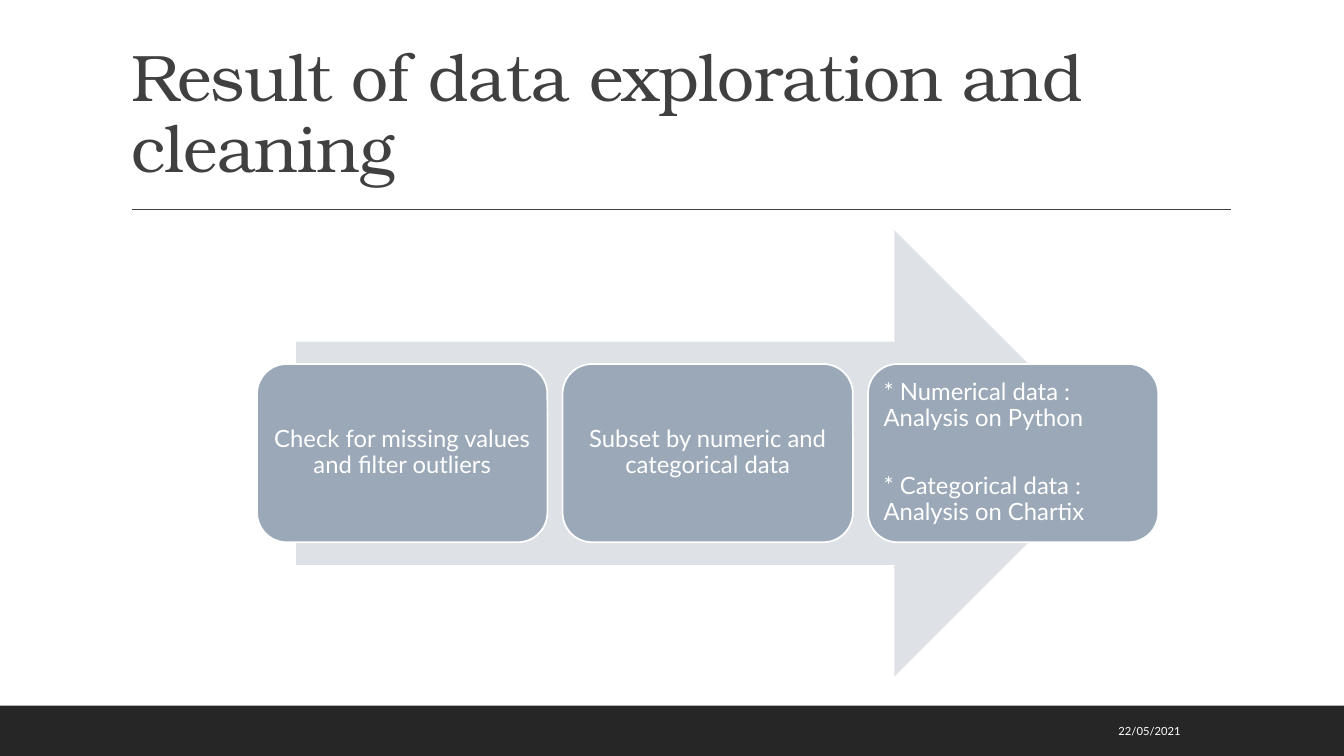
import pptx
import pptx.util
import pptx.dml.color
import pptx.enum.shapes
import pptx.enum.text
import lxml.etree

Pt = pptx.util.Pt
KIND = pptx.enum.shapes.MSO_SHAPE
ALIGN = pptx.enum.text.PP_ALIGN
ANCHOR = pptx.enum.text.MSO_ANCHOR


class Theme:
    white, dark, ink = "FFFFFF", "262626", "404040"
    arrow, card = "DEE1E6", "9BA8B7"
    head, body = "TeX Gyre Bonum", "Lato"
    title, step, date = 47, 17, 8


def color(code):
    return pptx.dml.color.RGBColor.from_string(code)


def apply(item, form):
    for name, value in form.items():
        setattr(item, name, value)


def write(shape, lines, font, size, tint, frame, para, track=None):
    """Fill a shape's text frame, one paragraph per line."""
    text = shape.text_frame
    apply(text, {"word_wrap": True, **frame})
    for i, line in enumerate(lines):
        par = text.add_paragraph() if i else text.paragraphs[0]
        apply(par, para)
        run = par.add_run()
        run.text = line
        apply(run.font, {"name": font, "size": Pt(size)})
        run.font.color.rgb = color(tint)
        if track:
            run.font._element.set("spc", str(track))
    # Spacing only separates paragraphs
    text.paragraphs[-1].space_after = Pt(0)


def block(slide, kind, box, fill, edge=None):
    shape = slide.shapes.add_shape(kind, *map(Pt, box))
    shape.shadow.inherit = False
    shape.fill.solid()
    shape.fill.fore_color.rgb = color(fill)
    if edge:
        shape.line.color.rgb = color(edge)
        shape.line.width = Pt(1.25)
    else:
        shape.line.fill.background()
    return shape


def rule(slide, left, right, top):
    line = slide.shapes.add_connector(
        pptx.enum.shapes.MSO_CONNECTOR.STRAIGHT, Pt(left), Pt(top), Pt(right), Pt(top))
    line.line.color.rgb = color(Theme.ink)
    line.line.width = Pt(1)
    props = line._element.spPr
    lxml.etree.SubElement(props, pptx.oxml.ns.qn("a:effectLst"))


def label(slide, box, *args, **form):
    write(slide.shapes.add_textbox(*map(Pt, box)), *args, **form)


def steps(slide, items):
    """Lay out the process cards at an equal pitch."""
    inset = dict.fromkeys(
        ("margin_left", "margin_right", "margin_top", "margin_bottom"), Pt(5))
    for i, (lines, align, gap) in enumerate(items):
        card = block(slide, KIND.ROUNDED_RECTANGLE, (183.6 + i * 218.2, 260, 207.4, 127.4),
                     Theme.card, Theme.white)
        write(card, lines, Theme.body, Theme.step, Theme.white,
              {"vertical_anchor": ANCHOR.MIDDLE, **inset},
              {"alignment": align, "line_spacing": 0.9, "space_after": Pt(gap)})


def main():
    deck = pptx.Presentation()
    apply(deck, {"slide_width": Pt(960), "slide_height": Pt(540)})
    slide = deck.slides.add_slide(deck.slide_layouts[6])

    # Footer band and title rule
    block(slide, KIND.RECTANGLE, (0, 504, 960, 36), Theme.dark)
    rule(slide, 94.3, 879, 149.6)

    # Title and date
    label(slide, (86.6, 22.6, 792, 114.2), ["Result of data exploration and cleaning"],
          Theme.head, Theme.title, Theme.ink,
          {"vertical_anchor": ANCHOR.BOTTOM}, {"line_spacing": 0.9}, track=-50)
    label(slide, (647, 507.8, 203.5, 28.8), ["22/05/2021"],
          Theme.body, Theme.date, Theme.white,
          {"vertical_anchor": ANCHOR.MIDDLE}, {"alignment": ALIGN.RIGHT})

    # Process arrow and its steps
    block(slide, KIND.RIGHT_ARROW, (211.5, 164.4, 586.8, 318.8), Theme.arrow)
    steps(slide, [
        (["Check for missing values and filter outliers"], ALIGN.CENTER, 0),
        (["Subset by numeric and categorical data"], ALIGN.CENTER, 0),
        (["* Numerical data : Analysis on Python",
          "* Categorical data : Analysis on Chartix"], ALIGN.LEFT, 30.4),
    ])

    deck.save("out.pptx")


main()
